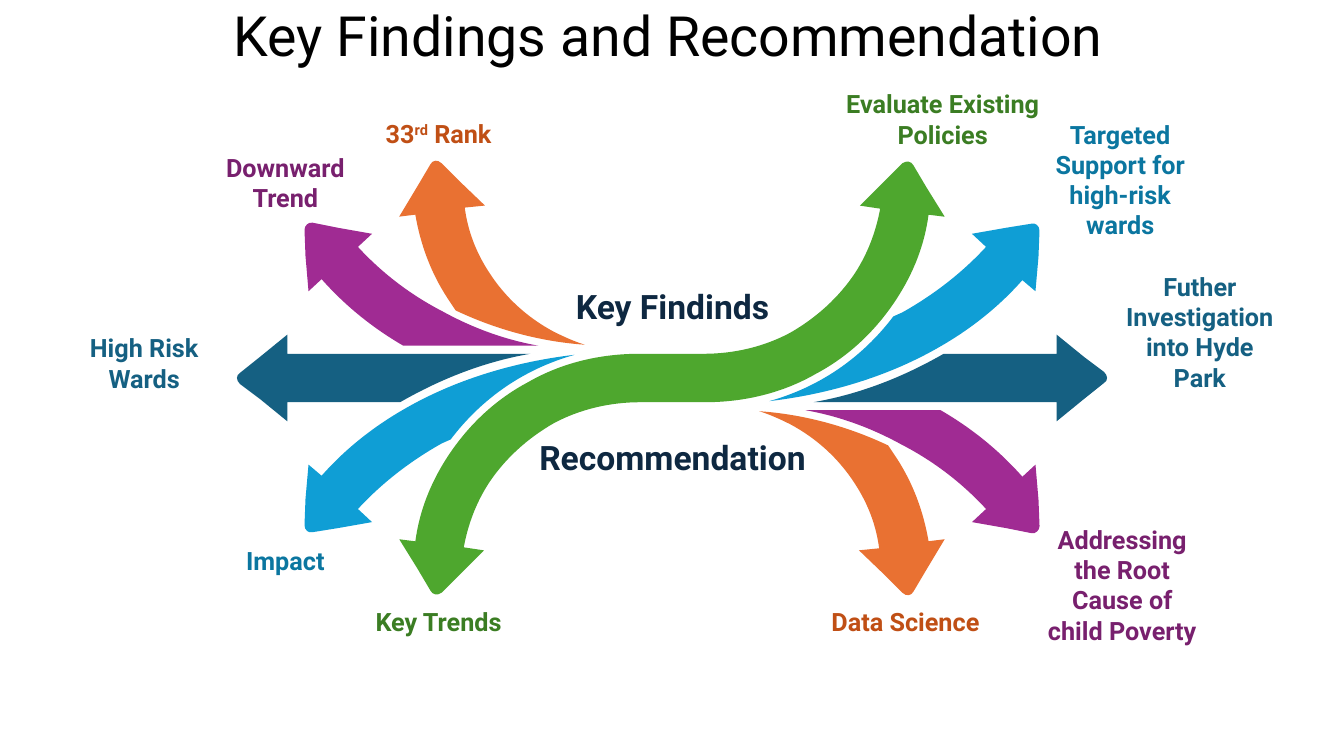
import pptx
import pptx.dml.color
import pptx.enum.text
import pptx.oxml.ns
import pptx.oxml.xmlchemy
import pptx.util

Inches = pptx.util.Inches
Anchor = pptx.enum.text.MSO_ANCHOR
Align = pptx.enum.text.PP_ALIGN


class Theme:
    font = "Roboto"
    title, head, label = 39.6, 24, 18
    black, navy = "000000", "0E2841"
    orange, purple, teal, blue, green = "E97132", "A02B93", "156082", "0F9ED5", "4EA72E"
    rust, plum, sea, leaf = "C04F15", "78206E", "0B76A0", "3B7D23"


WIDE, HIGH = 13.33, 7.5
deck = pptx.Presentation()
deck.slide_width, deck.slide_height = Inches(WIDE), Inches(HIGH)
slide = deck.slides.add_slide(deck.slide_layouts[6])


def write(text, box, size, color, bold=True, align=Align.CENTER,
          anchor=Anchor.BOTTOM, inset=0, spacing=None):
    """Add a text box; a part between ^ marks is raised."""
    frame = slide.shapes.add_textbox(*map(Inches, box)).text_frame
    frame.word_wrap = True
    frame.vertical_anchor = anchor
    frame.margin_left = frame.margin_right = Inches(inset)
    para = frame.paragraphs[0]
    para.alignment = align
    para.line_spacing = spacing
    for i, part in enumerate(text.split("^")):
        run = para.add_run()
        run.text = part
        run.font.name = Theme.font
        run.font.size = pptx.util.Pt(size)
        run.font.bold = bold
        run.font.color.rgb = pptx.dml.color.RGBColor.from_string(color)
        if i % 2:
            run._r.get_or_add_rPr().set("baseline", "30000")


def draw(route, color):
    """Add a filled outline: two numbers are a corner, six a Bezier curve."""
    spots = [(Inches(part[i]), Inches(part[i + 1]))
             for part in route for i in range(0, len(part), 2)]
    pen = slide.shapes.build_freeform(*spots[0], scale=1.0)
    pen.add_line_segments(spots[1:], close=True)
    arrow = pen.convert_to_shape()
    arrow.shadow.inherit = False
    arrow.fill.solid()
    arrow.fill.fore_color.rgb = pptx.dml.color.RGBColor.from_string(color)
    arrow.line.fill.background()
    # Join the three lines of each curve into one cubic segment
    lines = iter(list(arrow._element.iter(pptx.oxml.ns.qn("a:lnTo"))))
    for part in route[1:]:
        first = next(lines)
        if len(part) == 6:
            curve = pptx.oxml.xmlchemy.OxmlElement("a:cubicBezTo")
            first.addprevious(curve)
            for line in (first, next(lines), next(lines)):
                curve.append(line[0])
                line.getparent().remove(line)


# Title
write("Key Findings and Recommendation", (2.22, 0.02, 9.02, 0.73), Theme.title, Theme.black,
      bold=False, align=Align.LEFT, anchor=Anchor.MIDDLE, inset=0.1, spacing=0.9)

# Left arrows
arrows = [
    (Theme.orange, [
        (4.44, 2.96), (4.27, 2.7, 4.17, 2.42, 4.12, 2.13), (3.96, 2.15), (4.14, 1.85),
        (4.27, 1.63), (4.29, 1.59, 4.34, 1.58, 4.38, 1.62), (4.56, 1.8), (4.81, 2.04),
        (4.61, 2.06), (4.64, 2.29, 4.72, 2.5, 4.85, 2.7), (5.01, 2.95, 5.23, 3.15, 5.49, 3.29),
        (5.59, 3.34, 5.7, 3.39, 5.8, 3.42), (5.36, 3.39, 4.92, 3.27, 4.52, 3.08)]),
    (Theme.purple, [
        (3.55, 2.45), (3.78, 2.7, 4.06, 2.92, 4.39, 3.09), (4.68, 3.25, 5, 3.37, 5.34, 3.43),
        (4, 3.43), (3.69, 3.25, 3.42, 3.03, 3.19, 2.77), (3.06, 2.89), (3.03, 2.54),
        (3.02, 2.28), (3.02, 2.24, 3.06, 2.2, 3.1, 2.21), (3.35, 2.26), (3.69, 2.32)]),
    (Theme.teal, [
        (2.85, 3.51), (5.26, 3.51), (4.8, 3.59, 4.37, 3.76, 3.97, 3.99), (2.85, 3.99),
        (2.85, 4.18), (2.58, 3.96), (2.38, 3.81), (2.36, 3.79, 2.35, 3.77, 2.35, 3.75),
        (2.35, 3.73, 2.36, 3.71, 2.38, 3.7), (2.58, 3.54), (2.85, 3.32)]),
    (Theme.blue, [
        (3.03, 4.95), (3.06, 4.61), (3.19, 4.72), (3.41, 4.47, 3.68, 4.25, 3.99, 4.07),
        (4.5, 3.77, 5.1, 3.59, 5.7, 3.52), (5.2, 3.66, 4.78, 3.95, 4.47, 4.36), (4.38, 4.4),
        (4.06, 4.58, 3.78, 4.8, 3.55, 5.05), (3.69, 5.18), (3.35, 5.24), (3.1, 5.28),
        (3.06, 5.29, 3.02, 5.26, 3.02, 5.21)]),
    (Theme.green, [
        (6.99, 3.99), (6.35, 3.99), (6.05, 3.99, 5.75, 4.06, 5.49, 4.2),
        (5.23, 4.35, 5.01, 4.55, 4.85, 4.79), (4.72, 4.99, 4.64, 5.21, 4.6, 5.43),
        (4.8, 5.46), (4.56, 5.7), (4.38, 5.88), (4.34, 5.91, 4.29, 5.9, 4.27, 5.86),
        (4.14, 5.64), (3.96, 5.35), (4.12, 5.37), (4.16, 5.07, 4.27, 4.79, 4.44, 4.53),
        (4.65, 4.21, 4.92, 3.96, 5.24, 3.79), (5.57, 3.6, 5.95, 3.51, 6.34, 3.51)]),
]
for color, route in arrows:
    # Each right arrow is the left one turned half round the slide's centre
    turned = [tuple((HIGH if i % 2 else WIDE) - n for i, n in enumerate(part))
              for part in route]
    if color == Theme.green:
        draw(route + turned[1:], color)  # both halves form one band
    else:
        draw(route, color)
        draw(turned, color)

# Centre headings
for text, top in (("Key Findinds", 2.79), ("Recommendation", 4.28)):
    write(text, (5.27, top, 2.8, 0.5), Theme.head, Theme.navy)

# Arrow labels: left, top, width, height
labels = [
    ("33^rd^ Rank", Theme.rust, (3.56, 1.12, 1.58, 0.4)),
    ("Downward Trend", Theme.plum, (2.04, 1.45, 1.58, 0.71)),
    ("High Risk Wards", Theme.teal, (0.64, 3.24, 1.58, 0.71)),
    ("Impact", Theme.sea, (2.04, 5.36, 1.58, 0.4)),
    ("Key Trends", Theme.leaf, (3.56, 5.96, 1.58, 0.4)),
    ("Evaluate Existing Policies", Theme.leaf, (8.19, 0.82, 2.32, 0.71)),
    ("Targeted Support for high-risk wards", Theme.sea, (10.32, 1.12, 1.58, 1.31)),
    ("Futher Investigation into Hyde Park", Theme.teal, (11.11, 2.63, 1.58, 1.31)),
    ("Addressing the Root Cause of child Poverty", Theme.plum, (10.34, 5.14, 1.58, 1.31)),
    ("Data Science", Theme.rust, (8.19, 5.96, 1.58, 0.4)),
]
for text, color, box in labels:
    write(text, box, Theme.label, color)

deck.save("out.pptx")
